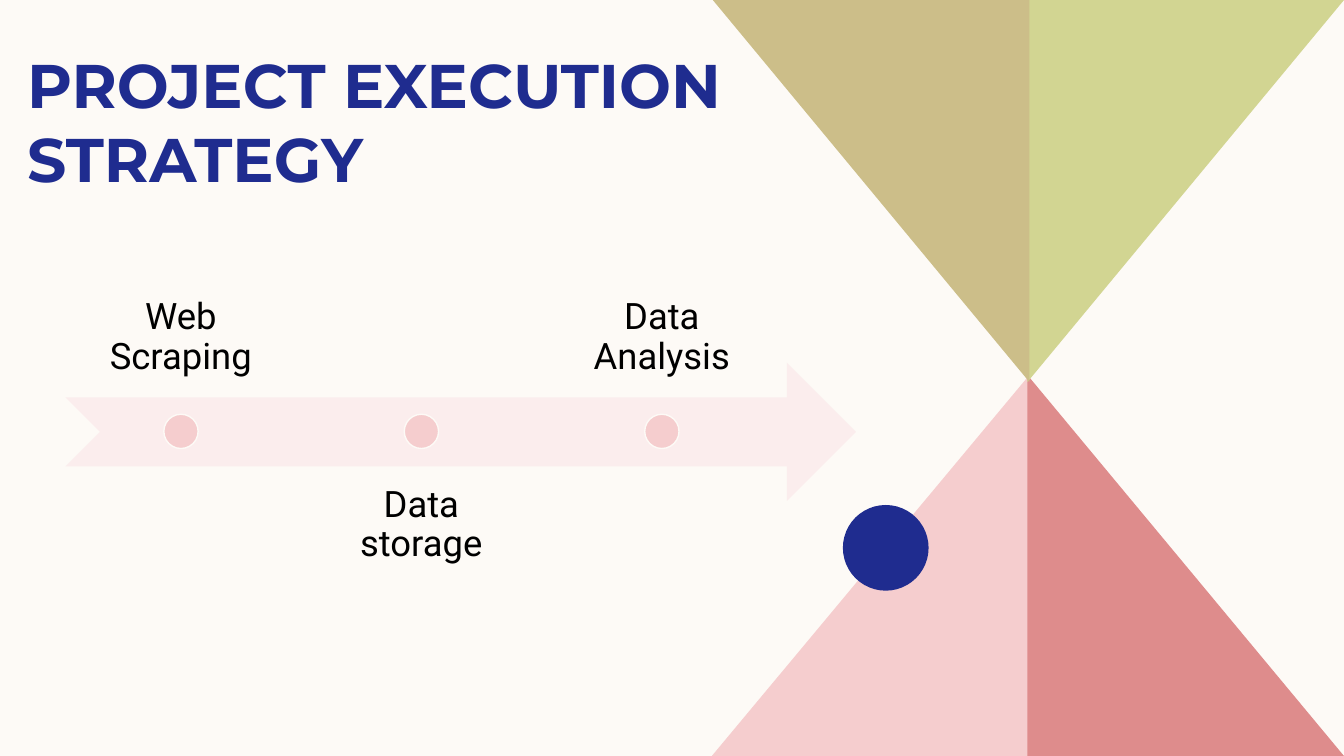
import pptx
import pptx.util
import pptx.dml.color
import pptx.enum.shapes
import pptx.enum.text

Inches = pptx.util.Inches
Pt = pptx.util.Pt
Shape = pptx.enum.shapes.MSO_SHAPE
Anchor = pptx.enum.text.MSO_ANCHOR
Align = pptx.enum.text.PP_ALIGN

CREAM, NAVY, BLUSH, PINK = "FDFAF6", "1F2C8F", "FBEDED", "F5CDCE"
TITLE = "PROJECT EXECUTION STRATEGY"
STEPS = ["Web Scraping", "Data storage", "Data Analysis"]
TRIANGLES = [
    (PINK, [(10.21, 3.72), (7.06, 7.5), (10.21, 7.5)]),
    ("DE8C8C", [(10.19, 3.72), (13.33, 7.5), (10.19, 7.5)]),
    ("D2D592", [(10.19, 3.79), (13.33, 0), (10.19, 0)]),
    ("CCBE89", [(10.21, 3.79), (7.07, 0), (10.21, 0)]),
]
LABEL_LEFT, LABEL_WIDTH, LABEL_HEIGHT, STEP_PITCH = 0.66, 2.27, 1.37, 2.385
LABEL_TOPS = [2.57, 4.62]
DOT_TOP, DOT_SIZE = 4.11, 0.34


def color(value):
    return pptx.dml.color.RGBColor.from_string(value)


def paint(shape, fill, line=None):
    shape.shadow.inherit = False
    shape.fill.solid()
    shape.fill.fore_color.rgb = color(fill)
    if line:
        shape.line.color.rgb = color(line)
        shape.line.width = Pt(1)
    else:
        shape.line.fill.background()


def add_shape(page, kind, left, top, width, height, fill, line=None):
    shape = page.shapes.add_shape(
        kind, Inches(left), Inches(top), Inches(width), Inches(height))
    paint(shape, fill, line)
    return shape


def write(box, text, font, size, fill, align, bold=False):
    frame = box.text_frame
    frame.text = text
    frame.word_wrap = True
    frame.auto_size = pptx.enum.text.MSO_AUTO_SIZE.NONE
    para = frame.paragraphs[0]
    para.alignment = align
    span = para.runs[0]
    span.font.name = font
    span.font.size = Pt(size)
    span.font.bold = bold
    span.font.color.rgb = color(fill)
    return frame


def add_triangle(page, fill, points):
    corners = [(Inches(x), Inches(y)) for x, y in points]
    builder = page.shapes.build_freeform(*corners[0])
    builder.add_line_segments(corners[1:], close=True)
    paint(builder.convert_to_shape(), fill)


def add_step(page, index, text):
    left = LABEL_LEFT + index * STEP_PITCH
    below = index % 2
    box = page.shapes.add_textbox(
        Inches(left), Inches(LABEL_TOPS[below]), Inches(LABEL_WIDTH), Inches(LABEL_HEIGHT))
    frame = write(box, text, "Roboto", 26, "000000", Align.CENTER)
    frame.vertical_anchor = Anchor.TOP if below else Anchor.BOTTOM
    frame.margin_left = frame.margin_right = Inches(0.2)
    frame.margin_top = frame.margin_bottom = Inches(0.2)
    frame.paragraphs[0].line_spacing = 0.9
    dot_left = left + (LABEL_WIDTH - DOT_SIZE) / 2
    add_shape(page, Shape.OVAL, dot_left, DOT_TOP, DOT_SIZE, DOT_SIZE, PINK, CREAM)


def main():
    deck = pptx.Presentation()
    deck.slide_width, deck.slide_height = Inches(13.33), Inches(7.5)
    page = deck.slides.add_slide(deck.slide_layouts.get_by_name("Title Only"))
    page.background.fill.solid()
    page.background.fill.fore_color.rgb = color(CREAM)

    for fill, points in TRIANGLES:
        add_triangle(page, fill, points)
    add_shape(page, Shape.OVAL, 8.36, 5.01, 0.85, 0.85, NAVY)

    title = page.shapes.title
    title.left, title.top = Inches(0.17), Inches(0.42)
    title.width, title.height = Inches(8.41), Inches(1.79)
    frame = write(title, TITLE, "Montserrat", 44, NAVY, Align.LEFT, bold=True)
    frame.vertical_anchor = Anchor.TOP

    add_shape(page, Shape.NOTCHED_RIGHT_ARROW, 0.65, 3.6, 7.84, 1.37, BLUSH)
    for index, text in enumerate(STEPS):
        add_step(page, index, text)

    deck.save("out.pptx")


if __name__ == "__main__":
    main()
